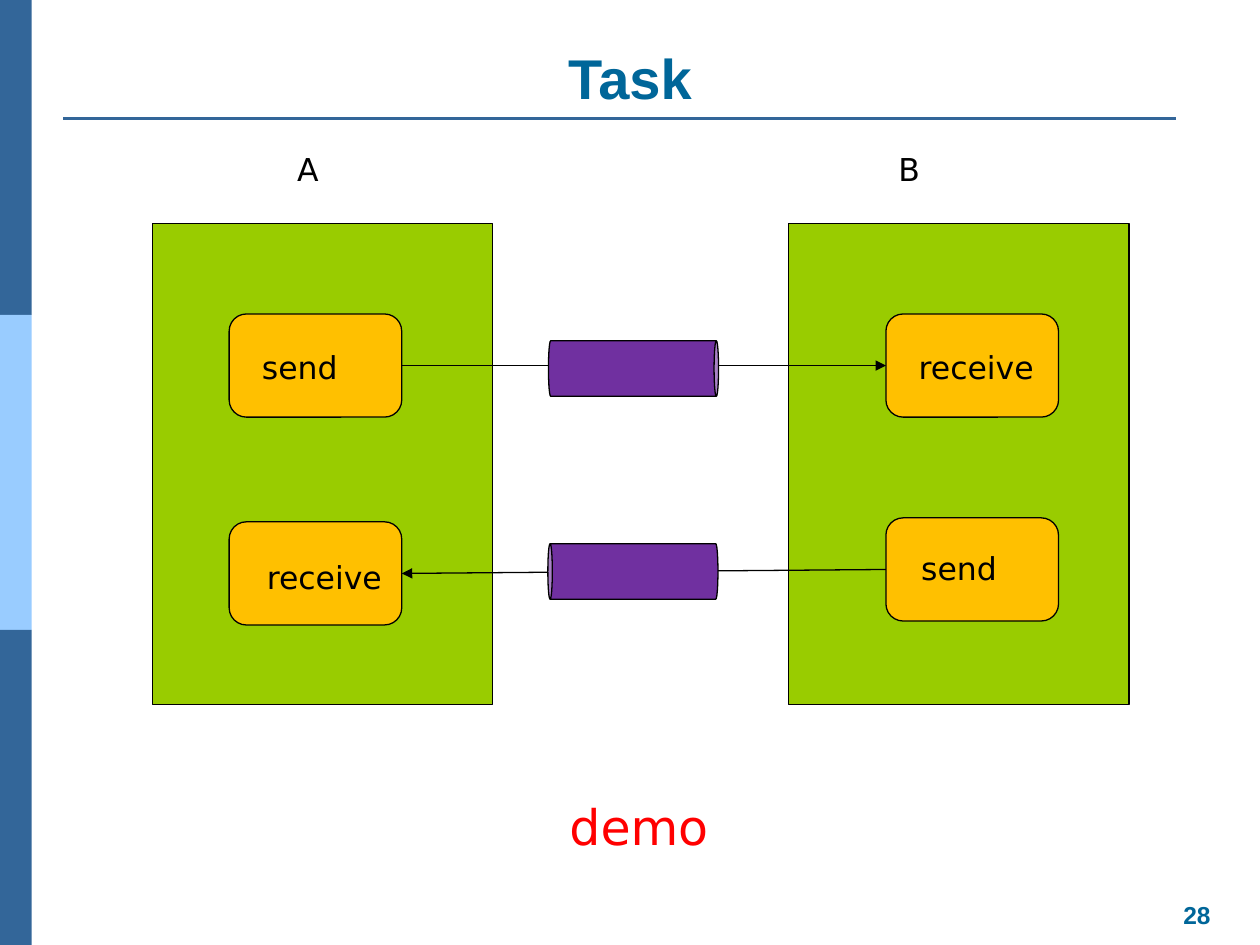
from pptx import Presentation
from pptx.dml.color import RGBColor
from pptx.enum.shapes import MSO_CONNECTOR, MSO_SHAPE
from pptx.enum.text import MSO_ANCHOR, MSO_AUTO_SIZE, PP_ALIGN as ALIGN
from pptx.oxml.ns import qn
from pptx.util import Cm, Pt
from lxml.etree import SubElement

STEEL, SKY, TEAL = "336699", "99CCFF", "006699"
GREEN, AMBER, PURPLE = "99CC00", "FFC000", "7030A0"
BLACK, RED = "000000", "FF0000"
TOP, LEFT, BOTTOM, RIGHT = range(4)  # connection sites


def color(hex_string):
    return RGBColor.from_string(hex_string)


def style_text(frame, text, size, font_name, hex_string, bold=False, align=ALIGN.LEFT):
    frame.text = text
    paragraph = frame.paragraphs[0]
    paragraph.alignment = align
    font = paragraph.runs[0].font
    font.size, font.name, font.bold = Pt(size), font_name, bold
    font.color.rgb = color(hex_string)


def add_label(slide, box, text, size=18, hex_string=BLACK):
    frame = slide.shapes.add_textbox(*map(Cm, box)).text_frame
    frame.word_wrap = True
    style_text(frame, text, size, "DejaVu Sans", hex_string)


def add_block(slide, preset, box, fill, line=BLACK):
    block = slide.shapes.add_shape(preset, *map(Cm, box))
    block.shadow.inherit = False
    block.fill.solid()
    block.fill.fore_color.rgb = color(fill)
    if line:
        block.line.color.rgb = color(line)
        block.line.width = Pt(0.75)
    else:
        block.line.fill.background()
    return block


def add_line(slide, start, end, hex_string, width):
    line = slide.shapes.add_connector(MSO_CONNECTOR.STRAIGHT, *map(Cm, start + end))
    line.line.color.rgb = color(hex_string)
    line.line.width = Pt(width)
    SubElement(line._element.spPr, qn("a:effectLst"))
    return line


def add_frame(slide, width, height):
    """Side bands, title rule and page number."""
    band_height = height / 3
    for i, fill in enumerate((STEEL, SKY, STEEL)):
        add_block(slide, MSO_SHAPE.RECTANGLE, (0, i * band_height, 0.64, band_height), fill, None)
    add_line(slide, (1.27, 2.39), (23.7, 2.39), STEEL, 1.5)

    page_number = slide.shapes.add_textbox(Cm(22.68), Cm(18.01), Cm(2.9), Cm(0.86)).text_frame
    page_number.word_wrap = False
    style_text(page_number, "28", 14, "Arial", TEAL, True, ALIGN.CENTER)


def add_title(slide, box):
    title = slide.shapes.title
    title.left, title.top, title.width, title.height = map(Cm, box)
    frame = title.text_frame
    frame.auto_size = MSO_AUTO_SIZE.NONE
    frame.vertical_anchor = MSO_ANCHOR.BOTTOM
    style_text(frame, "Task", 32, "Arial", TEAL, True, ALIGN.CENTER)


def add_task(slide, box, text, text_offset):
    left, top, width, height = box
    task = add_block(slide, MSO_SHAPE.ROUNDED_RECTANGLE, box, AMBER)
    task.adjustments[0] = 0.167
    dx, dy = text_offset
    text_width = 2.18 if text == "send" else 4.5
    add_label(slide, (left + dx, top + dy, text_width, 1.02), text)
    return task


def add_station(slide, box, name, name_dx, task_dx, tasks):
    """Green panel with its name above; returns the tasks inside it."""
    left, top, width, height = box
    add_block(slide, MSO_SHAPE.RECTANGLE, box, GREEN)
    add_label(slide, (left + name_dx, top - 1.6, 2.95, 1.02), name)
    return [add_task(slide, (left + task_dx, top + dy, 3.48, 2.08), text, text_offset)
            for text, dy, text_offset in tasks]


def add_channel(slide, sender, sender_site, receiver, receiver_site, center, rotation):
    """Arrow from sender to receiver through a pipe."""
    arrow = add_line(slide, (0, 0), (1, 1), BLACK, 0.75)
    arrow.begin_connect(sender, sender_site)
    arrow.end_connect(receiver, receiver_site)
    SubElement(arrow.line._get_or_add_ln(), qn("a:tailEnd"), type="triangle")

    x, y = center
    thickness, length = 1.12, 3.43
    pipe = add_block(slide, MSO_SHAPE.CAN,
                     (x - thickness / 2, y - length / 2, thickness, length), PURPLE)
    pipe.adjustments[0] = 0.081
    pipe.rotation = rotation


def main():
    presentation = Presentation()
    presentation.slide_width, presentation.slide_height = Cm(25.4), Cm(19.05)
    slide = presentation.slides.add_slide(presentation.slide_layouts[5])

    add_frame(slide, 25.4, 19.05)
    add_title(slide, (1.27, 0.76, 22.86, 1.6))

    # Stations and their tasks
    send_a, receive_a = add_station(
        slide, (3.07, 4.5, 6.86, 9.7), "A", 2.67, 1.55,
        [("send", 1.83, (0.41, 0.56)), ("receive", 6.02, (0.51, 0.61))])
    receive_b, send_b = add_station(
        slide, (15.9, 4.5, 6.86, 9.7), "B", 1.96, 1.96,
        [("receive", 1.83, (0.41, 0.56)), ("send", 5.94, (0.46, 0.51))])

    # Channels between the stations
    add_channel(slide, send_a, RIGHT, receive_b, LEFT, (12.77, 7.43), 90)
    add_channel(slide, send_b, LEFT, receive_a, RIGHT, (12.76, 11.52), 270)

    add_label(slide, (11.23, 15.93, 7.09, 1.45), "demo", 28, RED)
    presentation.save("out.pptx")


if __name__ == "__main__":
    main()
